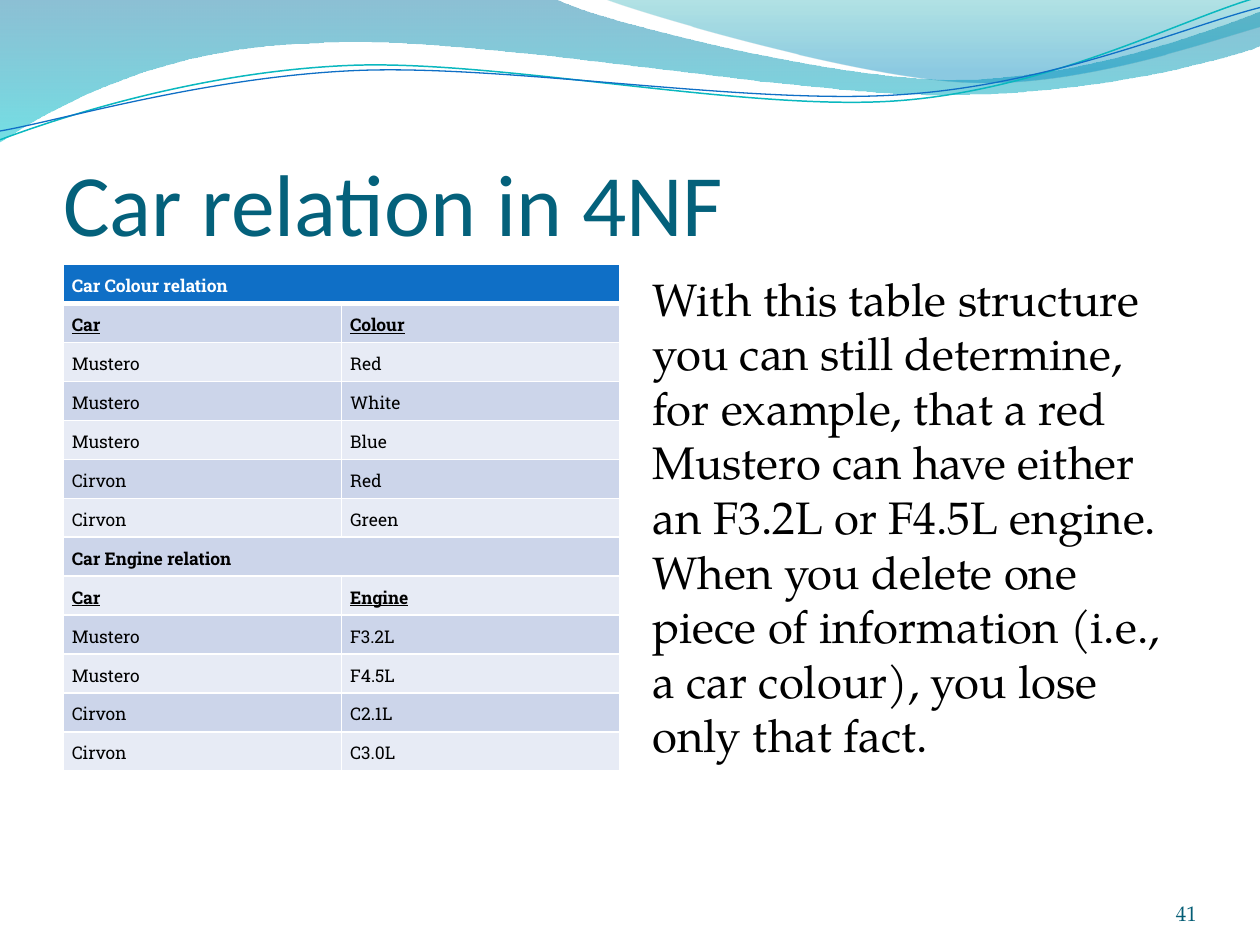
from dataclasses import dataclass

from lxml import etree
from pptx import Presentation
from pptx.dml.color import RGBColor
from pptx.enum import text
from pptx.oxml.ns import qn
from pptx.util import Inches, Pt


@dataclass(frozen=True)
class Theme:
    heading: str = "Calibri"
    body: str = "TeX Gyre Pagella"
    table: str = "Roboto Slab"
    title_size: float = 50
    body_size: float = 26
    number_size: float = 12
    cell_size: float = 10
    title: str = "04617B"
    number: str = "045D75"
    black: str = "000000"
    white: str = "FFFFFF"
    blue: str = "0F6FC6"
    teal: str = "0AB8BF"
    bands: tuple = ("E7EBF5", "CCD5EA")


# Each curve is a start point and cubic segments (two controls and an end).
# A segment of one point is a straight line. A gradient stop holds
# position, colour and opacity in percent.
WAVES = [
    ((0, 0), [
        [(4.4, -0.01)],
        [(4.76, 0.17), (6.64, 0.63), (7.58, 0.63)],
        [(8.53, 0.63), (9.58, 0.26), (10, 0.09)],
        [(10.01, 0.36)],
        [(9.83, 0.44), (8.7, 0.76), (7.46, 0.75)],
        [(6.22, 0.75), (3.82, 0.28), (2.57, 0.34)],
        [(1.29, 0.36), (0.46, 0.83), (-0.01, 1.13)],
        [(0, 0)],
    ], [(0, "0074A1", 45), (1, "00C6CF", 55)]),
    ((4.79, -0.01), [
        [(5.09, 0.11), (6.82, 0.62), (7.69, 0.65)],
        [(8.56, 0.69), (9.61, 0.32), (10, 0.21)],
        [(10, 0)],
        [(4.79, -0.01)],
    ], [(0, "00A1A9", 30), (0.8, "008BBF", 45)]),
]
TEAL_LINE = ((0, 1.11), [
    [(0.48, 0.93), (1.58, 0.57), (2.77, 0.52)],
    [(3.95, 0.47), (5.93, 0.89), (7.13, 0.8)],
    [(8.33, 0.71), (9.38, 0.15), (9.98, -0.02)],
])
BLUE_LINE = ((0, 1.04), [
    [(0.47, 0.96), (1.64, 0.61), (2.83, 0.56)],
    [(4.03, 0.51), (5.97, 0.84), (7.17, 0.75)],
    [(8.36, 0.67), (9.41, 0.21), (10, 0.06)],
])
# A row of one text spans both columns.
ROWS = [
    ["Car Colour relation"], ["Car", "Colour"],
    ["Mustero", "Red"], ["Mustero", "White"], ["Mustero", "Blue"],
    ["Cirvon", "Red"], ["Cirvon", "Green"],
    ["Car Engine relation"], ["Car", "Engine"],
    ["Mustero", "F3.2L"], ["Mustero", "F4.5L"],
    ["Cirvon", "C2.1L"], ["Cirvon", "C3.0L"],
]
BODY = ("With this table structure you can still determine, for example, that a red "
        "Mustero can have either an F3.2L or F4.5L engine. When you delete one piece "
        "of information (i.e., a car colour), you lose only that fact.")


class Deck:
    def __init__(self, theme):
        self.theme = theme
        self.prs = Presentation()
        self.prs.slide_width, self.prs.slide_height = Inches(10), Inches(7.5)
        self.s = self.prs.slides.add_slide(self.prs.slide_layouts[5])

    def run(self, p, words, size, font, color, bold=False, underline=False):
        r = p.add_run()
        r.text = words
        f = r.font
        f.size, f.name, f.bold, f.underline = Pt(size), font, bold, underline
        f.color.rgb = RGBColor.from_string(color)

    def frame(self, sp, box, insets, anchor):
        sp.left, sp.top, sp.width, sp.height = map(Inches, box)
        tf = sp.text_frame
        tf.word_wrap, tf.auto_size = True, text.MSO_AUTO_SIZE.NONE
        tf.vertical_anchor = anchor
        (tf.margin_left, tf.margin_top,
         tf.margin_right, tf.margin_bottom) = map(Inches, insets)
        return tf.paragraphs[0]

    def title(self, words, box):
        p = self.frame(self.s.shapes.title, box, (0, 0.05, 0, 0), text.MSO_ANCHOR.BOTTOM)
        p.alignment = text.PP_ALIGN.LEFT
        self.run(p, words, self.theme.title_size, self.theme.heading, self.theme.title)

    def textbox(self, words, box, size, color, insets=(0.1, 0.05, 0.1, 0.05),
                anchor=text.MSO_ANCHOR.TOP, align=text.PP_ALIGN.LEFT):
        sp = self.s.shapes.add_textbox(*map(Inches, box))
        p = self.frame(sp, box, insets, anchor)
        p.alignment = align
        self.run(p, words, size, self.theme.body, color)

    def curve(self, start, segments, close):
        """Build a polygon through all points, then join each three into a cubic."""
        fb = self.s.shapes.build_freeform(*map(Inches, start))
        fb.add_line_segments([(Inches(x), Inches(y)) for seg in segments for x, y in seg],
                             close=close)
        sp = fb.convert_to_shape()
        sp.shadow.inherit = False
        lines = iter(list(sp.element.iter(qn("a:lnTo"))))
        for seg in segments:
            parts = [next(lines) for _ in seg]
            if len(parts) == 3:
                cubic = etree.Element(qn("a:cubicBezTo"))
                parts[0].addprevious(cubic)
                for ln in parts:
                    cubic.append(ln[0])
                    ln.getparent().remove(ln)
        return sp

    def wave(self, start, segments, stops):
        sp = self.curve(start, segments, close=True)
        sp.line.fill.background()
        sp.fill.gradient()
        sp.fill.gradient_angle = 270
        for stop, (position, color, _) in zip(sp.fill.gradient_stops, stops):
            stop.position = position
            stop.color.rgb = RGBColor.from_string(color)
        for clr, (_, _, opacity) in zip(sp.element.spPr.iter(qn("a:srgbClr")), stops):
            etree.SubElement(clr, qn("a:alpha"), val=str(opacity * 1000))

    def wave_line(self, start, segments, color, width):
        sp = self.curve(start, segments, close=False)
        sp.fill.background()
        sp.line.color.rgb = RGBColor.from_string(color)
        sp.line.width = Pt(width)

    def borders(self, cell, top, bottom):
        tc_pr = cell._tc.get_or_add_tcPr()
        for tag, width in (("lnL", 1), ("lnR", 1), ("lnT", top), ("lnB", bottom)):
            ln = etree.SubElement(tc_pr, qn(f"a:{tag}"), w=str(Pt(width)))
            fill = etree.SubElement(ln, qn("a:solidFill"))
            etree.SubElement(fill, qn("a:srgbClr"), val=self.theme.white)

    def table(self, rows, left, top, width, height):
        th = self.theme
        tbl = self.s.shapes.add_table(
            len(rows), 2, *map(Inches, (left, top, width, height))).table
        tbl.first_row = tbl.horz_banding = False
        for i, words in enumerate(rows):
            tbl.rows[i].height = Inches(height / len(rows))
            section = len(words) == 1
            heading = not section and len(rows[i - 1]) == 1
            if section:
                tbl.cell(i, 0).merge(tbl.cell(i, 1))
            for j in range(2):
                cell = tbl.cell(i, j)
                self.borders(cell, 3 if i == 1 else 1, 3 if i == 0 else 1)
                cell.fill.solid()
                cell.fill.fore_color.rgb = RGBColor.from_string(
                    th.bands[i % 2] if i else th.blue)
                cell.vertical_anchor = text.MSO_ANCHOR.MIDDLE
                cell.margin_left = cell.margin_right = Inches(0.07)
                cell.margin_top = cell.margin_bottom = Inches(0.05)
                if j < len(words):
                    p = cell.text_frame.paragraphs[0]
                    p.line_spacing = 1.15
                    self.run(p, words[j], th.cell_size, th.table,
                             th.black if i else th.white,
                             bold=section or heading, underline=heading)


def main():
    th = Theme()
    deck = Deck(th)
    for wave in WAVES:
        deck.wave(*wave)
    deck.wave_line(*TEAL_LINE, th.teal, 0.85)
    deck.wave_line(*BLUE_LINE, th.blue, 0.75)
    deck.title("Car relation in 4NF", (0.5, 0.77, 9, 1.25))
    deck.table(ROWS, 0.5, 2.1, 4.42, 3.68)
    deck.textbox(BODY, (5.08, 2.1, 4.42, 4.85), th.body_size, th.black)
    deck.textbox("41", (8.67, 6.95, 0.83, 0.4), th.number_size, th.number,
                 (0, 0, 0, 0), text.MSO_ANCHOR.BOTTOM, text.PP_ALIGN.RIGHT)
    deck.prs.save("out.pptx")


if __name__ == "__main__":
    main()
